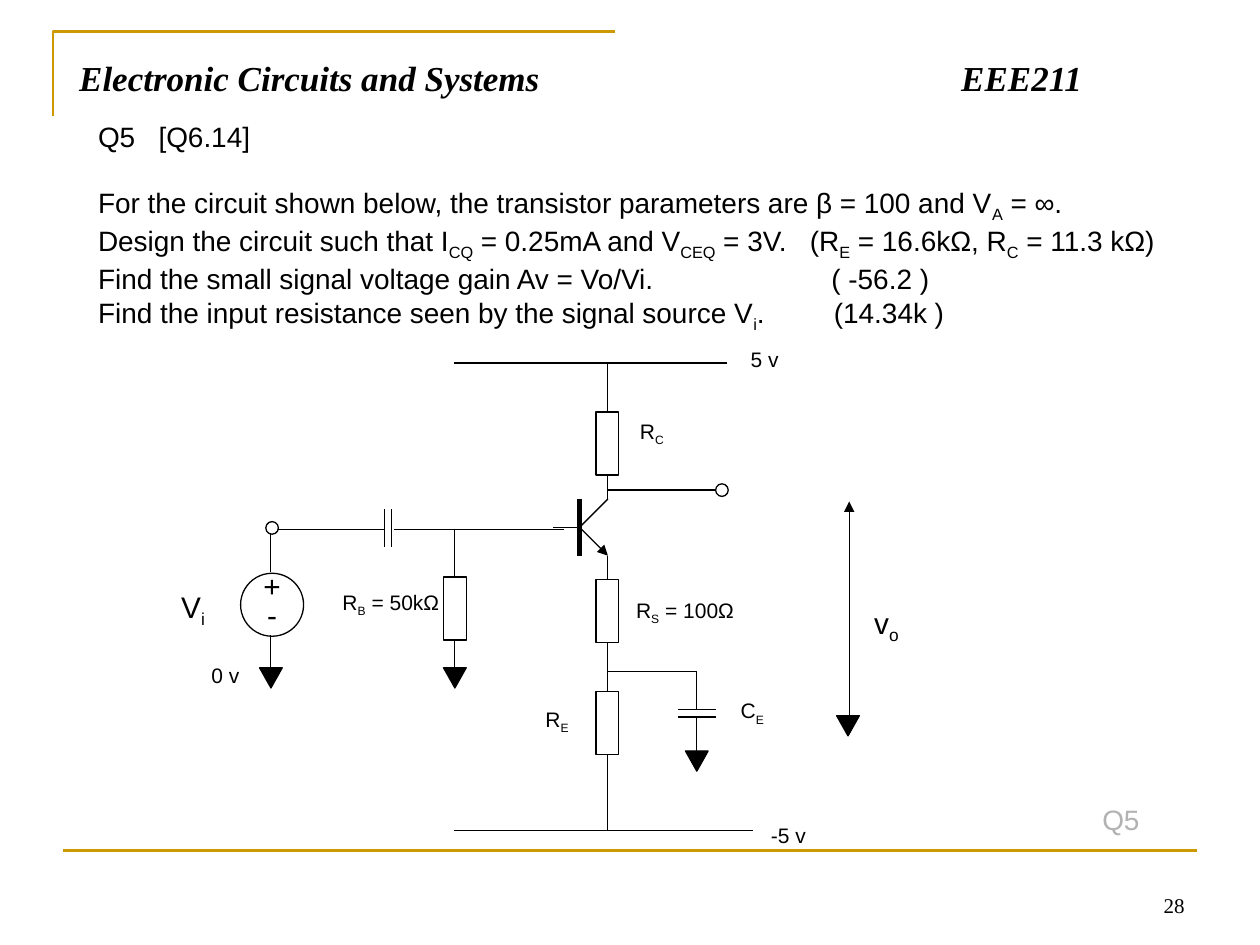
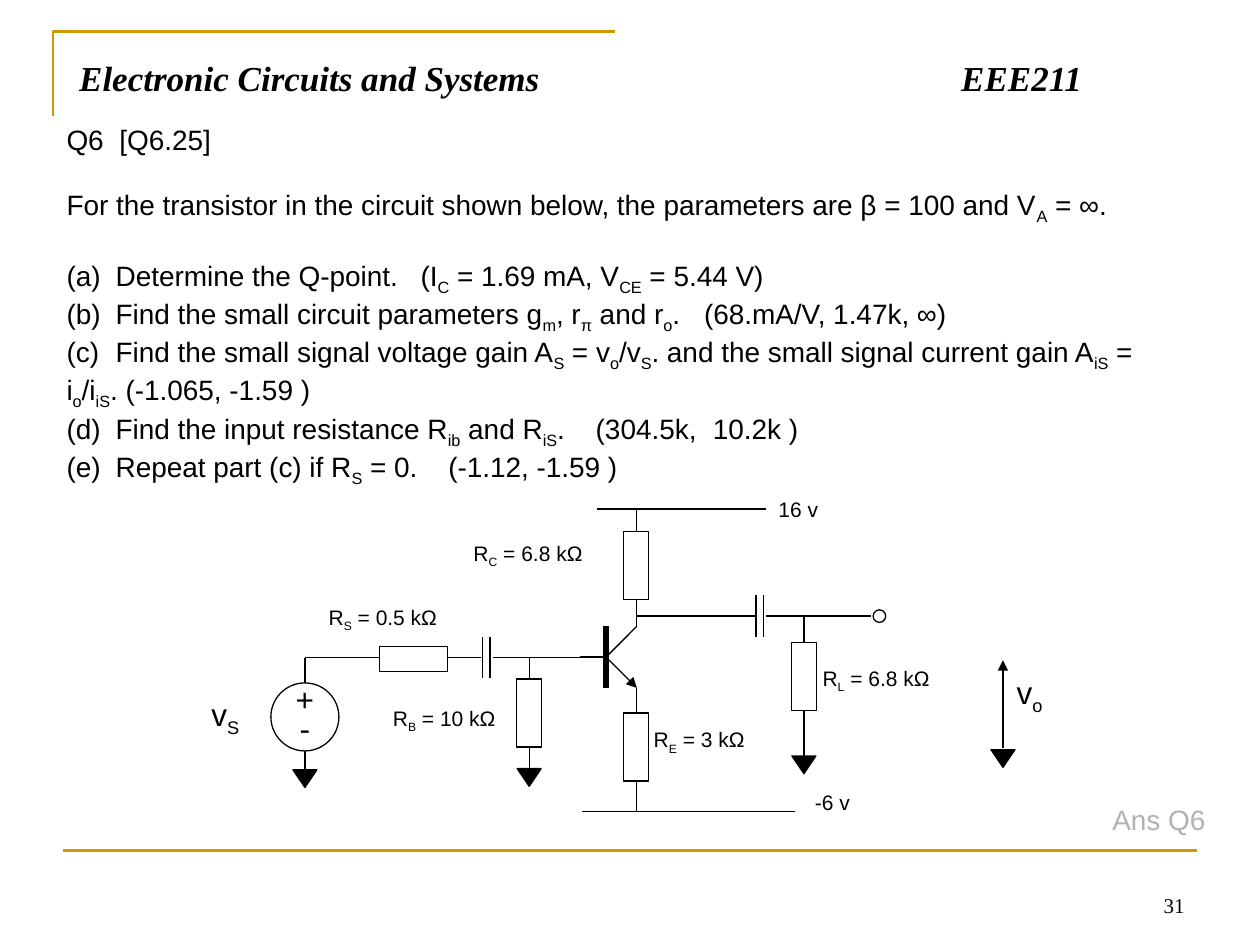
from dataclasses import dataclass
from lxml.etree import SubElement
from pptx import Presentation
from pptx.dml.color import RGBColor
from pptx.enum.shapes import MSO_CONNECTOR, MSO_SHAPE
from pptx.enum.text import MSO_ANCHOR, PP_ALIGN
from pptx.oxml.ns import qn
from pptx.util import Cm, Pt


@dataclass(frozen=True)
class Theme:
    ink: RGBColor = RGBColor(0x00, 0x00, 0x00)
    paper: RGBColor = RGBColor(0xFF, 0xFF, 0xFF)
    gold: RGBColor = RGBColor(0xCC, 0x99, 0x00)
    muted: RGBColor = RGBColor(0xB2, 0xB2, 0xB2)
    serif: str = "Times New Roman"
    sans: str = "Arial"
    title: int = 20
    body: int = 16
    small: int = 12
    thin: float = 0.75
    frame: float = 1.5
    bar: float = 3
    blank_line: float = 18.4


@dataclass(frozen=True)
class Symbols:
    resistor: tuple
    ground: tuple
    source: float
    plate: float
    signal: int


@dataclass(frozen=True)
class Line:
    text: str
    tabs: tuple = ()
    gap: bool = False


def inch(value):
    return Cm(value * 2.54)


class Deck:
    def __init__(self, theme):
        self.theme = theme
        self.presentation = Presentation()
        self.presentation.slide_width = inch(10)
        self.presentation.slide_height = inch(7.5)
        self.slide = None
        self.symbols = None

    def start_slide(self, number, symbols):
        theme = self.theme
        self.slide = self.presentation.slides.add_slide(self.presentation.slide_layouts[6])
        self.symbols = symbols
        builder = self.slide.shapes.build_freeform(inch(0.42), inch(0.92))
        builder.add_line_segments([(inch(0.42), inch(0.25)), (inch(4.88), inch(0.25))], close=False)
        corner = builder.convert_to_shape()
        corner.shadow.inherit = False
        corner.fill.background()
        self.outline(corner, theme.gold, theme.frame)
        self.wire(0.5, 6.75, 9.5, 6.75, theme.gold, theme.frame)
        page = self.text(7.17, 6.83, 2.33, 0.5, [Line(str(number))], theme.small,
                         font=theme.serif, align=PP_ALIGN.RIGHT)
        page.text_frame.vertical_anchor = MSO_ANCHOR.BOTTOM
        title = self.text(0.53, 0.4, 8.92, 0.61,
                          [Line("Electronic Circuits and Systems\tEEE211", (7,))],
                          theme.title, font=theme.serif)
        for run in title.text_frame.paragraphs[0].runs:
            run.font.bold = run.font.italic = True

    def outline(self, shape, color, width):
        shape.line.color.rgb = color
        shape.line.width = Pt(width)

    def text(self, left, top, width, height, lines, size, color=None, font=None,
             align=PP_ALIGN.LEFT):
        box = self.slide.shapes.add_textbox(inch(left), inch(top), inch(width), inch(height))
        frame = box.text_frame
        frame.word_wrap = True
        for index, line in enumerate(lines):
            paragraph = frame.add_paragraph() if index else frame.paragraphs[0]
            paragraph.alignment = align
            if line.gap:
                paragraph.space_before = Pt(self.theme.blank_line)
            self.set_tabs(paragraph, line.tabs)
            for part, words in enumerate(line.text.split("~")):
                run = paragraph.add_run()
                run.text = words
                run.font.name = font or self.theme.sans
                run.font.size = Pt(size)
                run.font.color.rgb = color or self.theme.ink
                if part % 2:
                    run._r.get_or_add_rPr().set("baseline", "-25000")
        return box

    def set_tabs(self, paragraph, positions):
        if positions:
            stops = SubElement(paragraph._p.get_or_add_pPr(), qn("a:tabLst"))
            for position in positions:
                SubElement(stops, qn("a:tab"), pos=str(int(inch(position))), algn="l")

    def label(self, left, top, words, width=1.3):
        self.text(left, top, width, 0.35, [Line(words)], self.theme.small)

    def signal(self, left, top, words, align=PP_ALIGN.LEFT, width=0.6):
        self.text(left, top, width, 0.4, [Line(words)], self.symbols.signal, align=align)

    def answer_tag(self, left, words):
        self.text(left, 6.32, 1.16, 0.37, [Line(words)], self.theme.body, self.theme.muted)

    def wire(self, x1, y1, x2, y2, color=None, width=None, arrow=False):
        wire = self.slide.shapes.add_connector(
            MSO_CONNECTOR.STRAIGHT, inch(x1), inch(y1), inch(x2), inch(y2))
        self.outline(wire, color or self.theme.ink, width or self.theme.thin)
        properties = wire._element.spPr
        if arrow:
            SubElement(properties.get_or_add_ln(), qn("a:tailEnd"), type="triangle")
        SubElement(properties, qn("a:effectLst"))
        return wire

    def shape(self, preset, left, top, width, height, fill=None):
        shape = self.slide.shapes.add_shape(
            preset, inch(left), inch(top), inch(width), inch(height))
        shape.shadow.inherit = False
        if fill is None:
            shape.fill.background()
        else:
            shape.fill.solid()
            shape.fill.fore_color.rgb = fill
        self.outline(shape, self.theme.ink, self.theme.thin)
        return shape

    def resistor(self, x, top, above=None, below=None):
        width, height = self.symbols.resistor
        body = self.shape(MSO_SHAPE.RECTANGLE, x - width / 2, top, width, height,
                          self.theme.paper)
        if above is not None:
            self.wire(x, above, x, top).end_connect(body, 0)
        if below is not None:
            self.wire(x, top + height, x, below).begin_connect(body, 2)

    def flat_resistor(self, left, y):
        thickness, length = self.symbols.resistor
        self.shape(MSO_SHAPE.RECTANGLE, left, y - thickness / 2, length, thickness,
                   self.theme.paper)

    def capacitor(self, x, y, stacked=False):
        half = self.symbols.plate / 2
        for offset in (-0.03, 0.03):
            if stacked:
                self.wire(x - half, y + offset, x + half, y + offset)
            else:
                self.wire(x + offset, y - half, x + offset, y + half)

    def ground(self, x, top):
        width, height = self.symbols.ground
        self.shape(MSO_SHAPE.ISOSCELES_TRIANGLE, x - width / 2, top, width, height,
                   self.theme.ink).rotation = 180

    def terminal(self, x, y):
        self.shape(MSO_SHAPE.OVAL, x - 0.05, y - 0.05, 0.1, 0.1, self.theme.paper)

    def source(self, x, y):
        size = self.symbols.source
        self.shape(MSO_SHAPE.OVAL, x - size / 2, y - size / 2, size, size)
        self.signal(x - 0.2, y - 0.34, "+", PP_ALIGN.CENTER, 0.4)
        self.signal(x - 0.2, y - 0.11, "-", PP_ALIGN.CENTER, 0.4)

    def transistor(self, x, top, height):
        middle, right = top + height / 2, x + height / 2
        self.wire(x, top, x, top + height, width=self.theme.bar)
        self.wire(x, middle, right, top)
        self.wire(x, middle, right, top + height, arrow=True)
        self.wire(x - 0.21, middle, x, middle)


def build_question_5(deck):
    deck.start_slide(28, Symbols((0.18, 0.5), (0.18, 0.16), 0.5, 0.3, 17))
    deck.text(0.68, 0.9, 8.89, 1.72, [
        Line("Q5\t[Q6.14]", (0.48,)),
        Line("For the circuit shown below, the transistor parameters are β = 100 and V~A~ = ∞.",
             gap=True),
        Line("Design the circuit such that I~CQ~ = 0.25mA and V~CEQ~ = 3V."
             "\t(R~E~ = 16.6kΩ, R~C~ = 11.3 kΩ)", (5.65,)),
        Line("Find the small signal voltage gain Av = Vo/Vi.\t( -56.2 )", (5.82,)),
        Line("Find the input resistance seen by the signal source V~i~.\t(14.34k )", (5.84,)),
    ], deck.theme.body)

    column = 4.82
    deck.wire(3.6, 2.88, 5.77, 2.88)
    deck.wire(3.6, 6.59, 5.98, 6.59)
    deck.transistor(4.6, 3.96, 0.45)
    deck.resistor(column, 3.27, above=2.88, below=3.96)
    deck.resistor(column, 4.6, above=4.41, below=6.59)
    deck.resistor(column, 5.49)

    deck.wire(column, 3.89, 5.69, 3.89)
    deck.terminal(5.73, 3.89)
    deck.wire(2.2, 4.2, 3.05, 4.2)
    deck.capacitor(3.08, 4.19)
    deck.wire(3.13, 4.2, 4.48, 4.2)
    deck.wire(3.61, 4.2, 3.61, 5.34)
    deck.resistor(3.61, 4.58)
    deck.ground(3.61, 5.3)

    deck.wire(2.15, 4.19, 2.15, 4.54)
    deck.terminal(2.16, 4.19)
    deck.source(2.16, 4.8)
    deck.wire(2.15, 5.04, 2.15, 5.38)
    deck.ground(2.15, 5.3)

    deck.wire(column, 5.33, 5.53, 5.33)
    deck.wire(5.53, 5.33, 5.53, 5.63)
    deck.capacitor(5.53, 5.66, stacked=True)
    deck.wire(5.53, 5.7, 5.53, 5.96)
    deck.ground(5.53, 5.96)
    deck.wire(6.74, 5.68, 6.74, 3.98, arrow=True)
    deck.ground(6.73, 5.68)

    for left, top, words in (
        (4.98, 3.27, "R~C~"), (5.86, 2.7, "5 v"), (1.58, 5.21, "0 v"),
        (2.62, 4.63, "R~B~ = 50kΩ"), (6.02, 6.48, "-5 v"), (4.95, 4.69, "R~S~ = 100Ω"),
        (5.78, 5.49, "C~E~"), (4.23, 5.56, "R~E~"),
    ):
        deck.label(left, top, words)
    deck.signal(1.34, 4.62, "V~i~")
    deck.signal(6.84, 4.75, "v~o~")
    deck.answer_tag(8.65, "Q5")


def build_question_6(deck):
    deck.start_slide(31, Symbols((0.2, 0.54), (0.19, 0.14), 0.54, 0.33, 18))
    item = 0.39
    deck.text(0.43, 0.92, 9.06, 2.77, [
        Line("Q6\t[Q6.25]", (0.42,)),
        Line("For the transistor in the circuit shown below, the parameters are "
             "β = 100 and V~A~ = ∞.", gap=True),
        Line("(a)\tDetermine the Q-point.\t(I~C~ = 1.69 mA, V~CE~ = 5.44 V)",
             (item, 2.81), gap=True),
        Line("(b)\tFind the small circuit parameters g~m~, r~π~ and r~o~."
             "\t(68.mA/V, 1.47k, ∞)", (item, 5.06)),
        Line("(c)\tFind the small signal voltage gain A~S~ = v~o~/v~S~. and the small "
             "signal current gain A~iS~ = i~o~/i~iS~. (-1.065, -1.59 )", (item,)),
        Line("(d)\tFind the input resistance R~ib~ and R~iS~.\t(304.5k,\t10.2k )",
             (item, 4.2, 5.13)),
        Line("(e)\tRepeat part (c) if R~S~ = 0.\t(-1.12, -1.59 )", (item, 3.03)),
    ], deck.theme.body)

    column, base_row, output_row = 5.05, 5.22, 4.89
    deck.wire(4.74, 4.04, 6.08, 4.04)
    deck.wire(4.62, 6.44, 6.31, 6.44)
    deck.transistor(4.81, 4.97, 0.49)
    deck.resistor(column, 4.22, above=4.04, below=4.97)
    deck.resistor(column, 5.66, above=5.46, below=6.44)

    deck.wire(2.42, base_row, 3.82, base_row)
    deck.flat_resistor(3.01, 5.23)
    deck.capacitor(3.86, base_row)
    deck.wire(3.91, base_row, 4.69, base_row)
    deck.wire(4.2, base_row, 4.2, 6.16)
    deck.resistor(4.2, 5.39)
    deck.ground(4.2, 6.1)

    deck.wire(2.42, base_row, 2.42, 5.42)
    deck.source(2.42, 5.69)
    deck.wire(2.42, 5.96, 2.42, 6.13)
    deck.ground(2.42, 6.11)

    deck.wire(column, output_row, 6, output_row)
    deck.capacitor(6.03, output_row)
    deck.wire(6.08, output_row, 6.91, output_row)
    deck.terminal(6.98, output_row)
    deck.wire(6.38, output_row, 6.38, 6)
    deck.resistor(6.38, 5.1)
    deck.ground(6.38, 6)
    deck.wire(7.96, 5.94, 7.96, 5.24, arrow=True)
    deck.ground(7.96, 5.95)

    for left, top, words in (
        (3.66, 4.24, "R~C~ = 6.8 kΩ"), (6.08, 3.89, "16 v"), (6.37, 6.22, "-6 v"),
        (3.02, 5.55, "R~B~ = 10 kΩ"), (5.09, 5.72, "R~E~ = 3 kΩ"),
        (2.51, 4.75, "R~S~ = 0.5 kΩ"), (6.43, 5.23, "R~L~ = 6.8 kΩ"),
    ):
        deck.label(left, top, words)
    deck.signal(1.58, 5.47, "v~S~")
    deck.signal(7.97, 5.29, "v~o~")
    deck.answer_tag(8.73, "Ans Q6")


def main():
    deck = Deck(Theme())
    build_question_5(deck)
    build_question_6(deck)
    deck.presentation.save("out.pptx")


if __name__ == "__main__":
    main()
